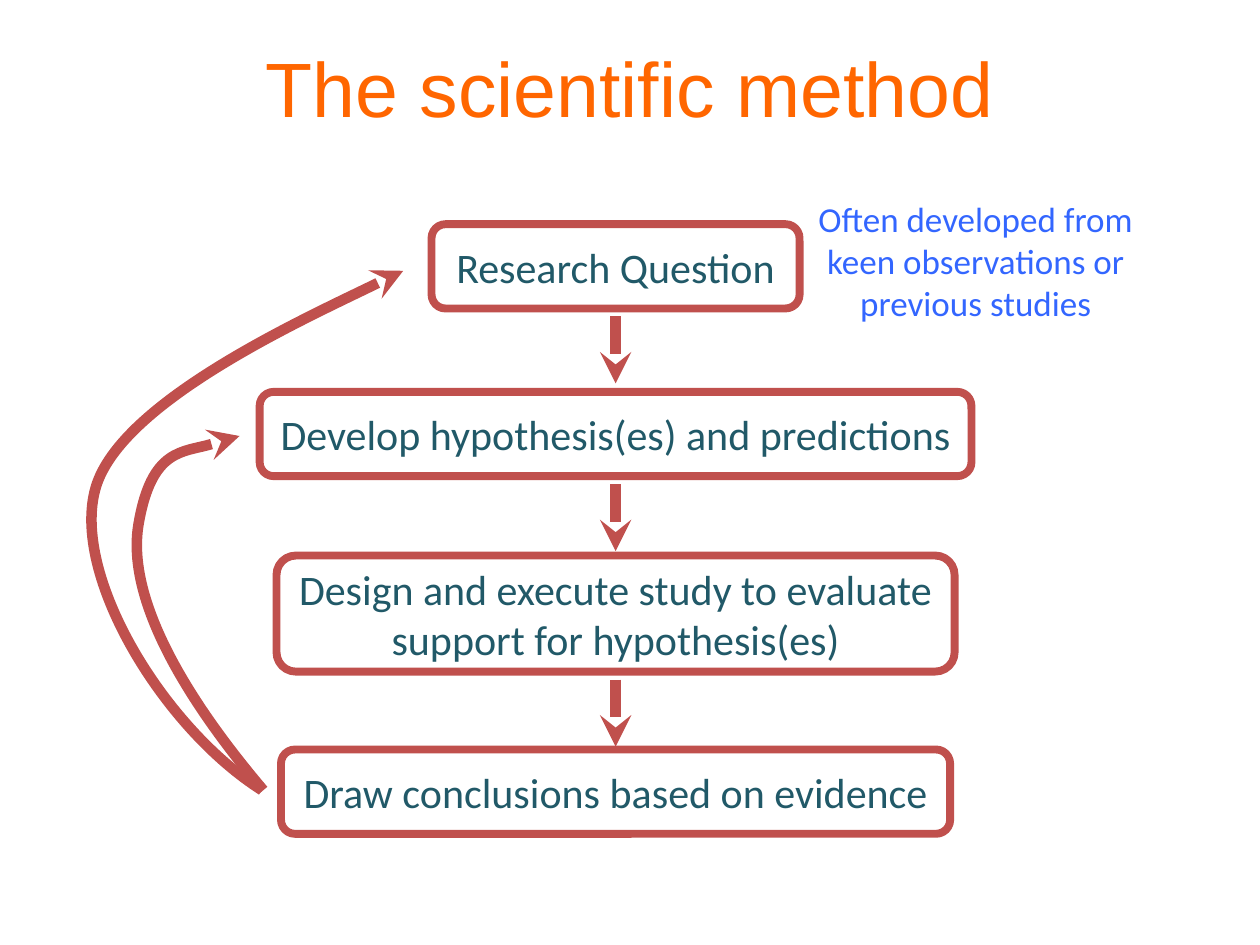
from dataclasses import dataclass
from itertools import pairwise

from lxml.etree import SubElement
from pptx import Presentation
from pptx.dml.color import RGBColor
from pptx.enum.shapes import MSO_CONNECTOR as Connector, MSO_SHAPE as Shape
from pptx.enum.text import MSO_ANCHOR as Anchor, PP_ALIGN as Align
from pptx.oxml.ns import qn
from pptx.util import Cm, Pt


@dataclass(frozen=True)
class Theme:
    """Colours, fonts and sizes of the slide."""
    title: str = "FF6600"
    step: str = "215968"
    note: str = "3366FF"
    outline: str = "C0504D"
    title_font: str = "Arial"
    body_font: str = "Calibri"
    title_size: int = 44
    step_size: int = 24
    note_size: int = 20
    box_line: float = 4.5
    arrow_line: float = 6


THEME = Theme()
CENTRE = 12.41
ARROW_GAP = 0.16
ARROW_LENGTH = 1.35
STEPS = [
    ("Research Question", 4.52, 7.42, 1.7),
    ("Develop hypothesis(es) and predictions", 7.9, 14.35, 1.7),
    ("Design and execute study to evaluate support for hypothesis(es)", 11.2, 13.67, 2.34),
    ("Draw conclusions based on evidence", 15.11, 13.49, 1.7),
]
FEEDBACK_CURVES = [
    [(5.31, 15.93), (3.84, 14.2), (2.54, 12.14), (2.79, 10.59),
     (3.05, 9.02), (4.37, 8.97), (4.83, 8.79)],
    [(5.28, 15.93), (3.28, 14.66), (1.42, 11.58), (1.93, 9.83),
     (2.44, 8.08), (8.13, 5.46), (8.13, 5.46)],
]


def write_text(shape, text, *, size, color, font=THEME.body_font, anchor=Anchor.MIDDLE):
    """Fill a shape with one centred, formatted paragraph."""
    frame = shape.text_frame
    frame.text = text
    frame.word_wrap = True
    frame.vertical_anchor = anchor
    paragraph = frame.paragraphs[0]
    paragraph.alignment = Align.CENTER
    paragraph.font.name = font
    paragraph.font.size = Pt(size)
    paragraph.font.color.rgb = RGBColor.from_string(color)


def style_line(line, width):
    """Give a line the outline colour and a width."""
    line.color.rgb = RGBColor.from_string(THEME.outline)
    line.width = Pt(width)


def style_arrow(line):
    """Draw a line as a thick arrow with a stealth head."""
    style_line(line, THEME.arrow_line)
    SubElement(line._get_or_add_ln(), qn("a:tailEnd"), type="stealth")


def add_title(slide, text):
    """Place the title across the top of the slide."""
    title = slide.shapes.title
    title.left, title.top, title.width, title.height = Cm(0), Cm(0.15), Cm(25.4), Cm(3.18)
    write_text(title, text, size=THEME.title_size, color=THEME.title, font=THEME.title_font)


def add_step(slide, text, top, width, height):
    """Add a rounded box centred on the column of steps."""
    box = slide.shapes.add_shape(
        Shape.ROUNDED_RECTANGLE, Cm(CENTRE - width / 2), Cm(top), Cm(width), Cm(height))
    box.shadow.inherit = False
    box.fill.background()
    style_line(box.line, THEME.box_line)
    write_text(box, text, size=THEME.step_size, color=THEME.step)
    box.text_frame.margin_left = box.text_frame.margin_right = Cm(0.15)
    return box


def add_down_arrow(slide, upper):
    """Add a short arrow below a step."""
    start = upper.top + upper.height + Cm(ARROW_GAP)
    arrow = slide.shapes.add_connector(
        Connector.STRAIGHT, Cm(CENTRE), start, Cm(CENTRE), start + Cm(ARROW_LENGTH))
    style_arrow(arrow.line)
    SubElement(arrow._element.spPr, qn("a:effectLst"))


def add_feedback_curve(slide, points):
    """Add a Bezier arrow from a start point and triples of control points."""
    start, *controls = [(Cm(x), Cm(y)) for x, y in points]
    builder = slide.shapes.build_freeform(*start)
    builder.add_line_segments(controls, close=False)
    curve = builder.convert_to_shape()
    outline = next(curve._element.iter(qn("a:path")))
    segments = outline.findall(qn("a:lnTo"))
    for index in range(0, len(segments), 3):
        bezier = SubElement(outline, qn("a:cubicBezTo"))
        for segment in segments[index:index + 3]:
            bezier.append(segment[0])
            outline.remove(segment)
    curve.shadow.inherit = False
    curve.fill.background()
    style_arrow(curve.line)


def add_note(slide, text):
    """Add the remark beside the first step."""
    note = slide.shapes.add_textbox(Cm(15.9), Cm(3.86), Cm(7.54), Cm(2.82))
    write_text(note, text, size=THEME.note_size, color=THEME.note, anchor=Anchor.TOP)


def main():
    """Build and save the slide."""
    presentation = Presentation()
    presentation.slide_width, presentation.slide_height = Cm(25.4), Cm(19.05)
    slide = presentation.slides.add_slide(presentation.slide_layouts[5])
    add_title(slide, "The scientific method")
    boxes = [add_step(slide, *step) for step in STEPS]
    for upper, _ in pairwise(boxes):
        add_down_arrow(slide, upper)
    for points in FEEDBACK_CURVES:
        add_feedback_curve(slide, points)
    add_note(slide, "Often developed from keen observations or previous studies")
    presentation.save("out.pptx")


if __name__ == "__main__":
    main()
